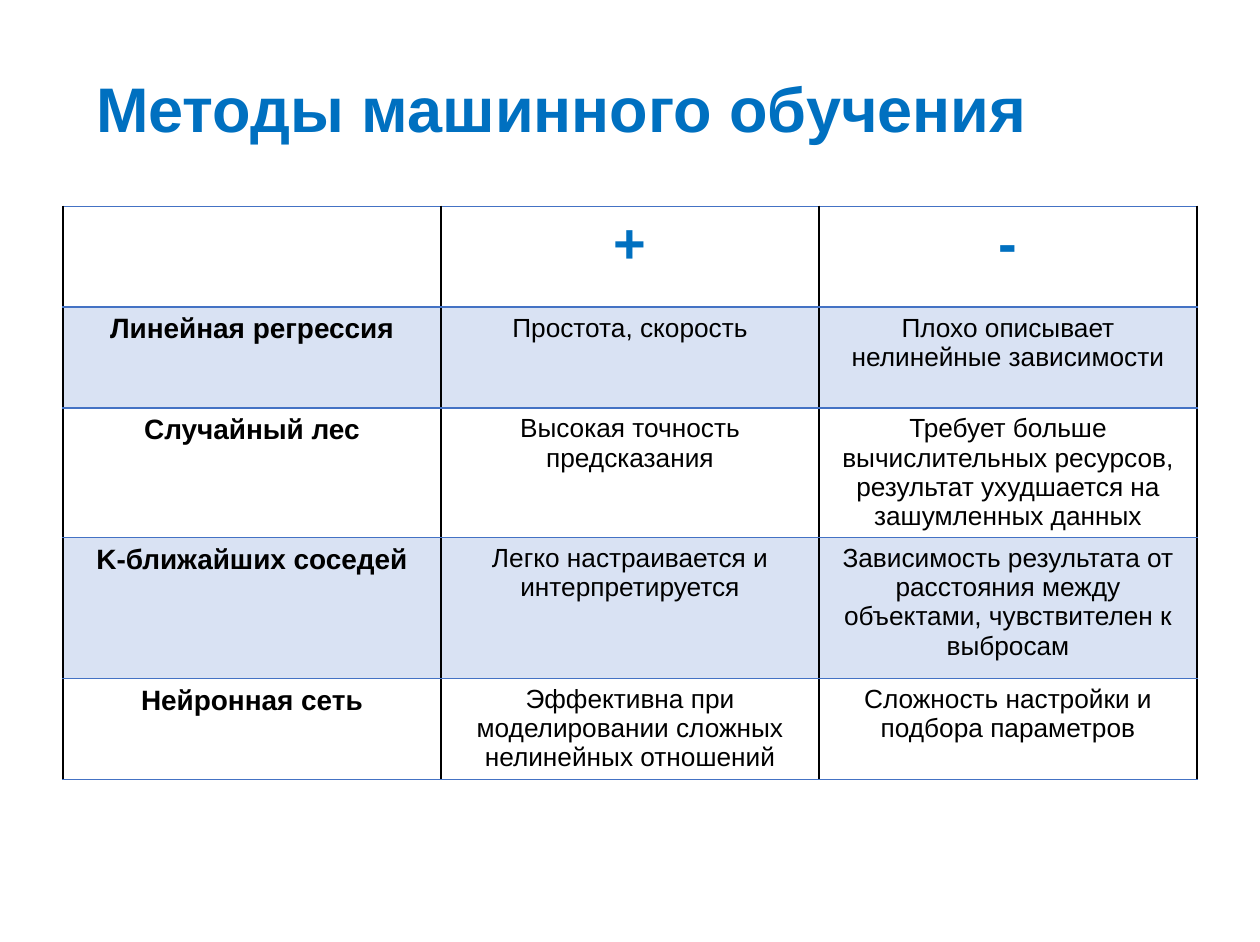
from lxml.etree import SubElement
from pptx import Presentation
from pptx.dml.color import RGBColor
from pptx.enum.text import MSO_ANCHOR, MSO_AUTO_SIZE, PP_ALIGN
from pptx.oxml.ns import qn
from pptx.util import Pt

COLORS = {"accent": "0070C0", "text": "000000", "rule": "4472C4", "divider": "000000"}
FONT = "Arial"
BAND_OPACITY = 20
BORDER_WIDTH = Pt(0.96)
ROW_HEIGHTS = [57.6, 57.6, 74.16, 80.64, 57.6]
METHODS = [
    ("", "+", "-"),
    ("Линейная регрессия", "Простота, скорость", "Плохо описывает нелинейные зависимости"),
    ("Случайный лес", "Высокая точность предсказания",
     "Требует больше вычислительных ресурсов, результат ухудшается на зашумленных данных"),
    ("K-ближайших соседей", "Легко настраивается и интерпретируется",
     "Зависимость результата от расстояния между объектами, чувствителен к выбросам"),
    ("Нейронная сеть", "Эффективна при моделировании сложных нелинейных отношений",
     "Сложность настройки и подбора параметров"),
]


def style_paragraph(para, size, color, bold):
    para.font.name = FONT
    para.font.size = Pt(size)
    para.font.bold = bold
    para.font.color.rgb = RGBColor.from_string(COLORS[color])


def add_title(page, left, top, width, height):
    title = page.shapes.title
    title.left, title.top, title.width, title.height = Pt(left), Pt(top), Pt(width), Pt(height)
    frame = title.text_frame
    frame.text = "Методы машинного обучения"
    frame.word_wrap = True
    frame.auto_size = MSO_AUTO_SIZE.NONE
    frame.vertical_anchor = MSO_ANCHOR.BOTTOM
    frame.margin_left = frame.margin_right = Pt(6)
    frame.margin_top = frame.margin_bottom = Pt(3)
    para = frame.paragraphs[0]
    para.alignment = PP_ALIGN.LEFT
    para.line_spacing = 0.9
    style_paragraph(para, 36, "accent", True)


def draw_borders(cell):
    """Dark lines at the sides, blue rules above and below."""
    properties = cell._tc.get_or_add_tcPr()
    for side, color in (("L", "divider"), ("R", "divider"), ("T", "rule"), ("B", "rule")):
        line = SubElement(properties, qn(f"a:ln{side}"), w=str(BORDER_WIDTH))
        fill = SubElement(line, qn("a:solidFill"))
        SubElement(fill, qn("a:srgbClr"), val=COLORS[color])


def fill_cell(cell, banded):
    if not banded:
        cell.fill.background()
        return
    cell.fill.solid()
    cell.fill.fore_color.rgb = RGBColor.from_string(COLORS["rule"])
    color = cell._tc.tcPr.find(qn("a:solidFill")).find(qn("a:srgbClr"))
    SubElement(color, qn("a:alpha"), val=str(BAND_OPACITY * 1000))


def add_methods_table(page, left, top, width, height):
    frame = page.shapes.add_table(len(METHODS), len(METHODS[0]),
                                  Pt(left), Pt(top), Pt(width), Pt(height))
    table = frame.table
    table.first_row = table.horz_banding = False
    for row, row_height in zip(table.rows, ROW_HEIGHTS):
        row.height = Pt(row_height)
    for row_index, texts in enumerate(METHODS):
        for column_index, text in enumerate(texts):
            cell = table.cell(row_index, column_index)
            draw_borders(cell)
            fill_cell(cell, banded=row_index % 2 == 1)
            cell.text = text
            para = cell.text_frame.paragraphs[0]
            para.alignment = PP_ALIGN.CENTER
            if row_index == 0:
                style_paragraph(para, 32, "accent", True)
            elif column_index == 0:
                style_paragraph(para, 16, "text", True)
            else:
                style_paragraph(para, 15, "text", False)


def main():
    deck = Presentation()
    deck.slide_width, deck.slide_height = Pt(720), Pt(538.56)
    page = deck.slides.add_slide(deck.slide_layouts[5])
    add_title(page, 49, 37.5, 621.5, 49)
    add_methods_table(page, 36, 118, 648, sum(ROW_HEIGHTS))
    deck.save("out.pptx")


if __name__ == "__main__":
    main()
